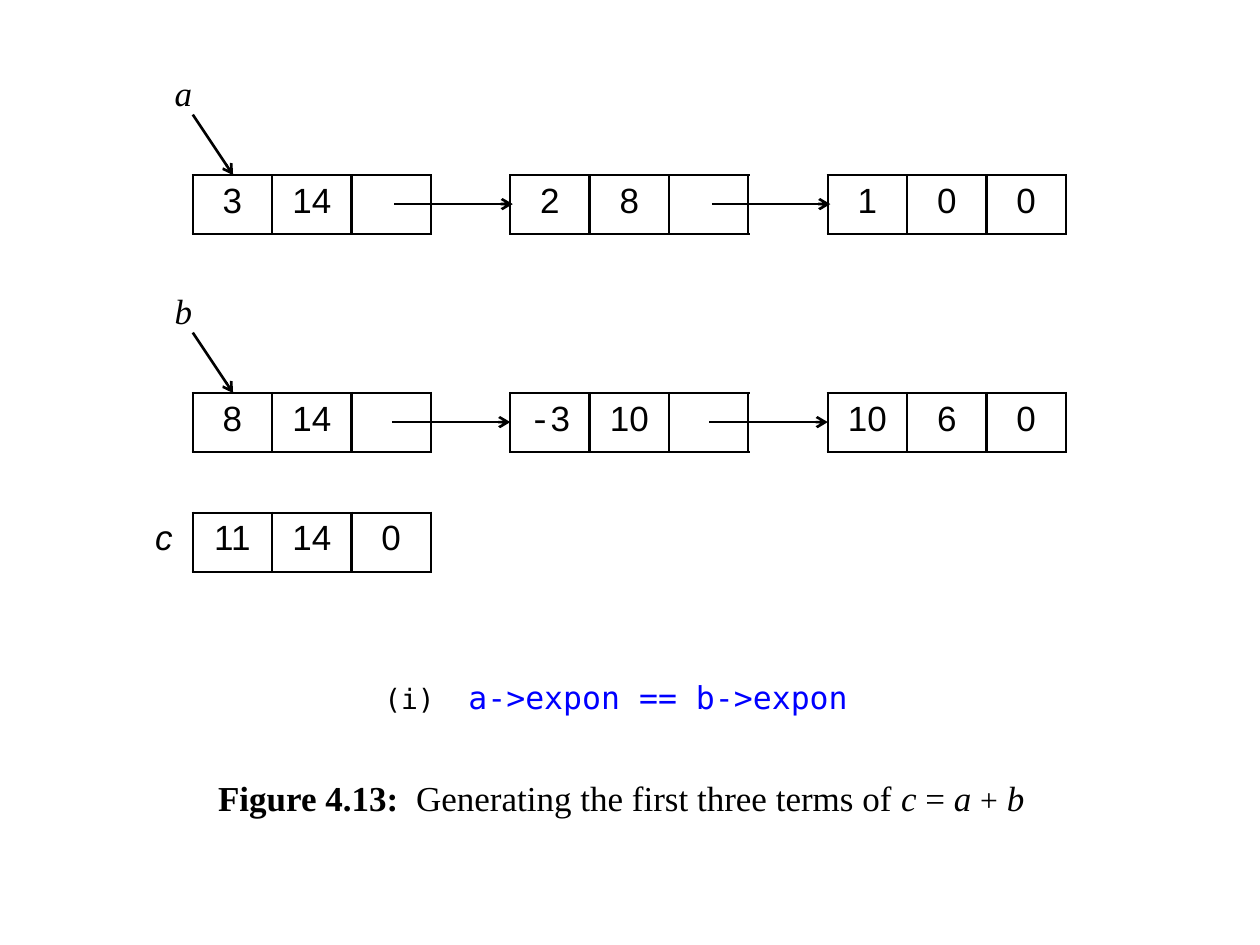
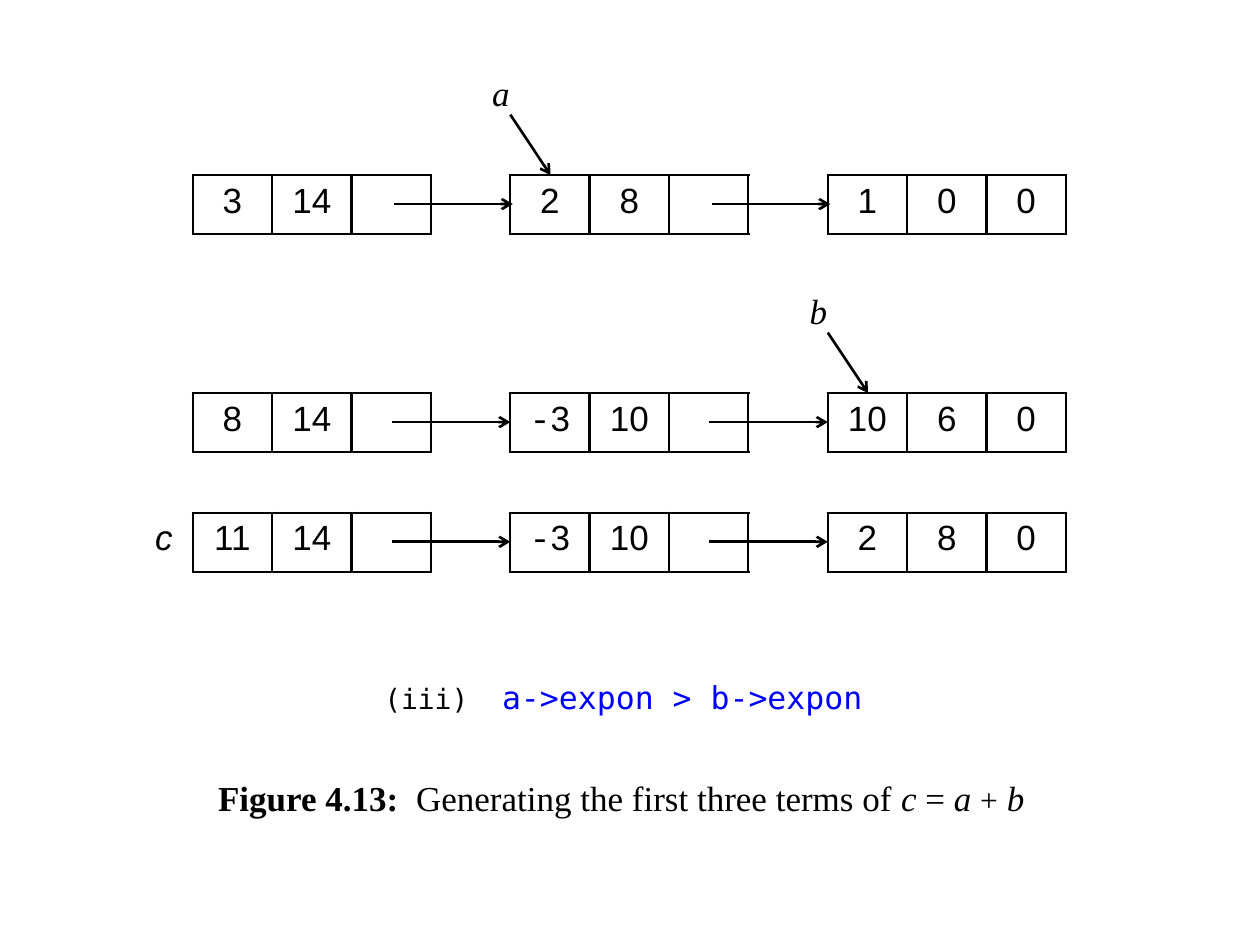
import lxml.etree
import pptx
import pptx.dml.color
import pptx.enum.shapes
import pptx.enum.text
import pptx.oxml.ns
import pptx.util

PX = 9144
BLACK = pptx.dml.color.RGBColor(0, 0, 0)
BLUE = pptx.dml.color.RGBColor(0, 0, 255)
SERIF, SANS = "Times New Roman", "Arial"
MINUS_FONT, CODE_FONT = "Courier New", "DejaVu Sans Mono"
LINE_WIDTH = pptx.util.Pt(1.5)
CENTER = pptx.enum.text.PP_ALIGN.CENTER
RIGHT = pptx.enum.text.PP_ALIGN.RIGHT

CELL_WIDTH, CELL_HEIGHT = 63, 47
NODE_PITCH = 4 * CELL_WIDTH
LIST_LEFT = 153
TOP_A, TOP_B, TOP_C = 139, 312, 407

LIST_A = [("3", "14", ""), ("2", "8", ""), ("1", "0", "0")]
LIST_B = [("8", "14", ""), ("-3", "10", ""), ("10", "6", "0")]
CAPTION = [
    ("Figure 4.13:", 20, True, False),
    ("  Generating the first three terms of ", 20, False, False),
    ("c ", 20, False, True),
    ("= ", 20, False, False),
    ("a ", 20, False, True),
    ("+", 18, False, False),
    (" ", 20, False, False),
    ("b", 20, False, True),
]


def px(length):
    """Turn a length in px into EMU."""
    return pptx.util.Emu(length * PX)


def add_run(para, text, font, size=20, color=BLACK, bold=False, italic=False):
    """Add one formatted run to a paragraph."""
    span = para.add_run()
    span.text = text
    span.font.name = font
    span.font.size = pptx.util.Pt(size)
    span.font.color.rgb = color
    span.font.bold = bold
    span.font.italic = italic


def add_arrow(page, start, end):
    """Draw a black line with an open arrowhead at its end."""
    arrow = page.shapes.add_connector(
        pptx.enum.shapes.MSO_CONNECTOR.STRAIGHT, *map(px, start + end))
    arrow.line.color.rgb = BLACK
    arrow.line.width = LINE_WIDTH
    properties = arrow._element.spPr
    line = properties.find(pptx.oxml.ns.qn("a:ln"))
    lxml.etree.SubElement(line, pptx.oxml.ns.qn("a:tailEnd"), type="arrow")
    lxml.etree.SubElement(properties, pptx.oxml.ns.qn("a:effectLst"))


def set_borders(cell, sides):
    """Line the named sides of a cell and leave the others open."""
    cell.fill.background()
    properties = cell._tc.get_or_add_tcPr()
    for place, side in enumerate("LRTB"):
        line = lxml.etree.Element(
            pptx.oxml.ns.qn(f"a:ln{side}"), w=str(int(LINE_WIDTH)))
        if side in sides:
            fill = lxml.etree.SubElement(line, pptx.oxml.ns.qn("a:solidFill"))
            lxml.etree.SubElement(
                fill, pptx.oxml.ns.qn("a:srgbClr"), val=str(BLACK))
        else:
            lxml.etree.SubElement(line, pptx.oxml.ns.qn("a:noFill"))
        properties.insert(place, line)


def fill_value(cell, text):
    """Write a centred number, with its minus sign in the fixed-width font."""
    para = cell.text_frame.paragraphs[0]
    para.alignment = CENTER
    if text.startswith("-"):
        add_run(para, "-", MINUS_FONT)
    if text:
        add_run(para, text.lstrip("-"), SANS)


def add_linked_list(page, top, nodes, name="", overshoot=0):
    """Lay out a row of three-cell nodes joined by arrows, with an optional name cell."""
    cells = [(name, "R")] if name else []
    for index, node in enumerate(nodes):
        if index:
            cells.append(("", "LR"))
        cells += [(value, "LRTB") for value in node]
    left = LIST_LEFT - (CELL_WIDTH if name else 0)
    frame = page.shapes.add_table(
        1, len(cells), px(left), px(top),
        px(len(cells) * CELL_WIDTH), px(CELL_HEIGHT))
    table = frame.table
    table.first_row = False
    table.horz_banding = False
    for column, (text, sides) in enumerate(cells):
        table.columns[column].width = px(CELL_WIDTH)
        cell = table.cell(0, column)
        set_borders(cell, sides)
        if name and column == 0:
            cell.margin_right = px(16)
            para = cell.text_frame.paragraphs[0]
            para.alignment = RIGHT
            add_run(para, text, SANS, italic=True)
        else:
            fill_value(cell, text)
    for index in range(len(nodes) - 1):
        node_left = LIST_LEFT + index * NODE_PITCH + overshoot
        middle = top + CELL_HEIGHT // 2
        add_arrow(page, (node_left + 158, middle), (node_left + NODE_PITCH, middle))


def add_pointer(page, top, node_index, name):
    """Name a node from above, with an arrow down to its first cell."""
    left = LIST_LEFT + node_index * NODE_PITCH
    box = page.shapes.add_textbox(px(left - 31), px(top - 87), px(47), px(47))
    box.text_frame.word_wrap = False
    para = box.text_frame.paragraphs[0]
    para.alignment = CENTER
    add_run(para, name, SERIF, italic=True)
    add_arrow(page, (left, top - 48), (left + 32, top))


def place_body(box, left, top, width, height, inset):
    """Move a body placeholder and return its paragraph without a bullet."""
    box.left, box.top, box.width, box.height = map(px, (left, top, width, height))
    frame = box.text_frame
    frame.word_wrap = True
    frame.auto_size = pptx.enum.text.MSO_AUTO_SIZE.NONE
    frame.margin_left = frame.margin_right = px(inset)
    para = frame.paragraphs[0]
    para.space_before = pptx.util.Pt(0)
    properties = para._p.get_or_add_pPr()
    properties.set("marL", "0")
    properties.set("indent", "0")
    lxml.etree.SubElement(properties, pptx.oxml.ns.qn("a:buNone"))
    return para


def add_step(deck, number, condition, node_a, node_b, result):
    """Build one slide of the polynomial addition."""
    page = deck.slides.add_slide(deck.slide_layouts.get_by_name("Two Content"))
    title = page.shapes.title._element
    title.getparent().remove(title)
    step_box, caption_box = page.placeholders

    add_linked_list(page, TOP_A, LIST_A, overshoot=2)
    add_linked_list(page, TOP_B, LIST_B)
    add_linked_list(page, TOP_C, result, name="c")
    add_pointer(page, TOP_A, node_a, "a")
    add_pointer(page, TOP_B, node_b, "b")

    para = place_body(step_box, 295, 533, 409, 47, inset=10)
    add_run(para, f"({number})  ", CODE_FONT, size=16)
    add_run(para, condition, CODE_FONT, size=18, color=BLUE)

    para = place_body(caption_box, 169, 611, 662, 47, inset=4)
    for text, size, bold, italic in CAPTION:
        add_run(para, text, SERIF, size=size, bold=bold, italic=italic)


def main():
    """Build and save the deck."""
    deck = pptx.Presentation()
    deck.slide_width, deck.slide_height = px(1000), px(750)
    add_step(deck, "i", "a->expon == b->expon", 0, 0, [("11", "14", "0")])
    add_step(deck, "iii", "a->expon > b->expon", 1, 2,
             [("11", "14", ""), ("-3", "10", ""), ("2", "8", "0")])
    deck.save("out.pptx")


if __name__ == "__main__":
    main()
